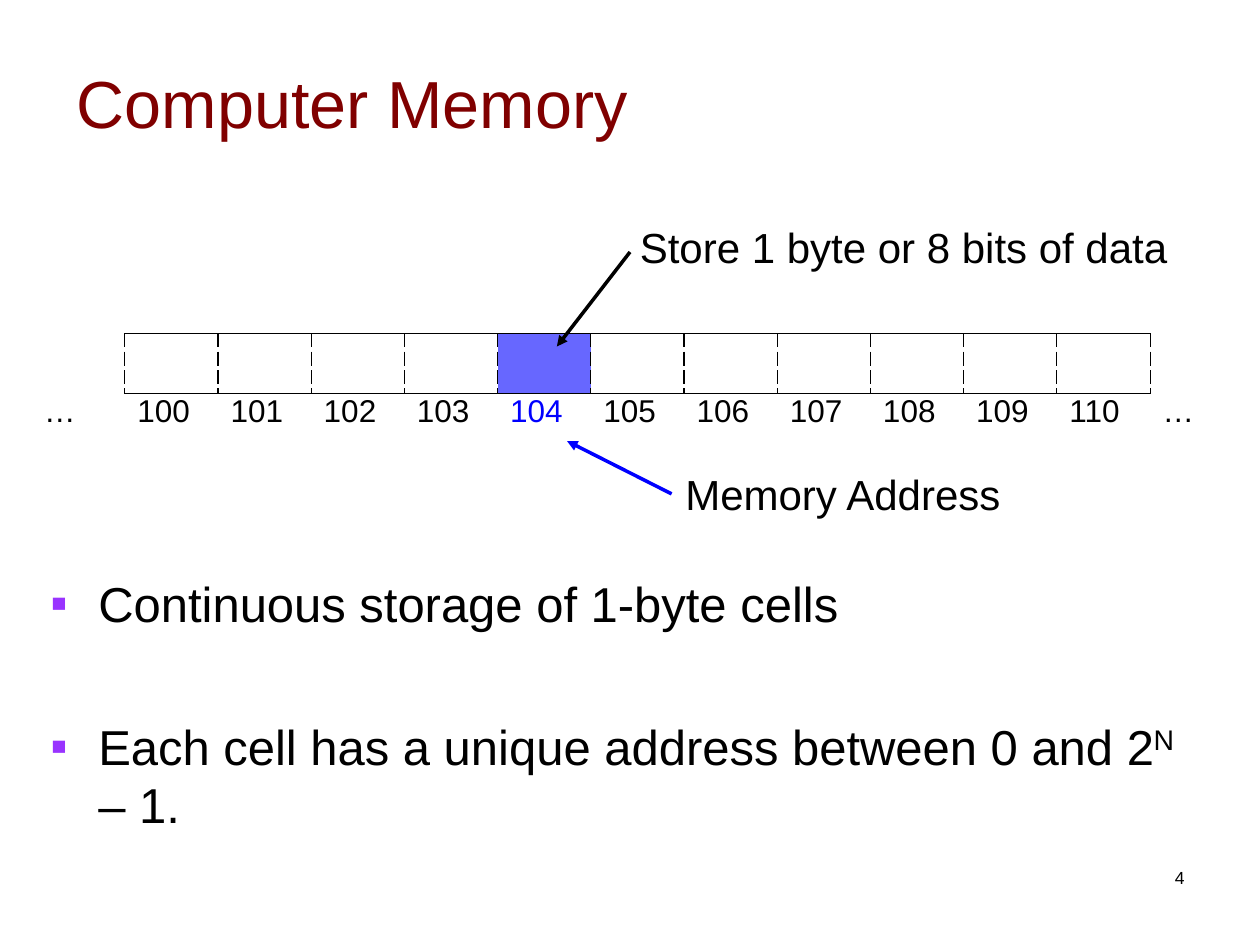
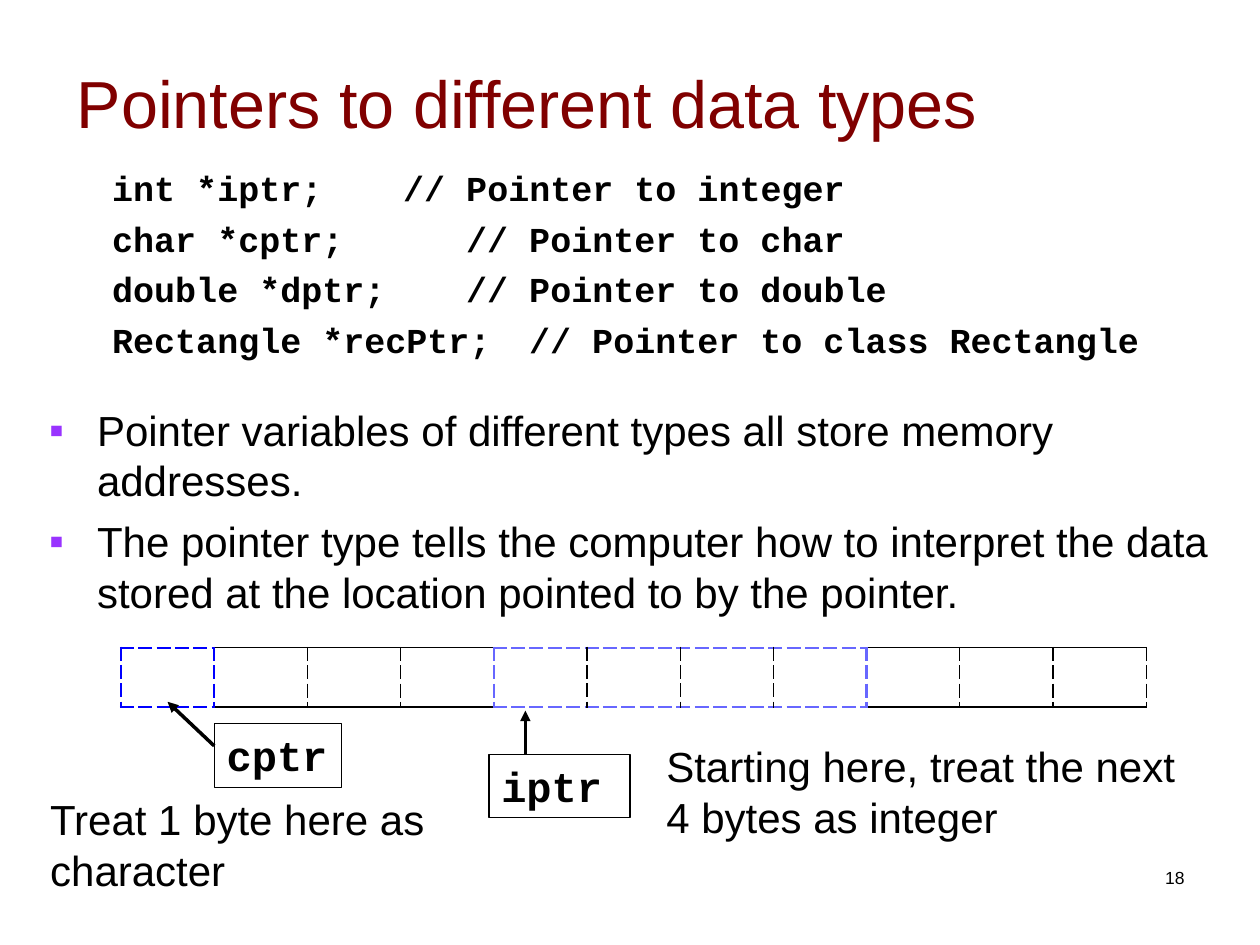
from dataclasses import dataclass

from lxml.etree import SubElement
from pptx import Presentation
from pptx.dml.color import RGBColor
from pptx.enum.shapes import MSO_CONNECTOR, MSO_SHAPE
from pptx.enum.text import MSO_ANCHOR, MSO_AUTO_SIZE, PP_ALIGN
from pptx.oxml.ns import qn
from pptx.util import Inches, Pt

COLORS = {
    "title": "800000",
    "text": "000000",
    "bullet": "9933FF",
    "byte": "0000FF",
    "word": "6767FF",
    "paper": "FFFFFF",
}
SANS, MONO = "Arial", "Courier New"
SLIDE_W, SLIDE_H = Inches(10), Inches(7.5)
COLUMN, ROW = SLIDE_W / 10, SLIDE_H / 7.5
CELLS = 11
CELL_W = 0.74
CELL_H = 0.47


@dataclass
class Box:
    """A region measured in slide columns and rows."""
    left: float
    top: float
    width: float
    height: float

    def inner(self, left, top, width, height):
        return Box(self.left + left, self.top + top, width, height)

    def point(self, across, down):
        return int((self.left + across) * COLUMN), int((self.top + down) * ROW)

    def emu(self):
        return (*self.point(0, 0), int(self.width * COLUMN), int(self.height * ROW))


TITLE = Box(0.51, 0.18, 9, 1.25)
PAGE_NUMBER = Box(7.17, 6.83, 2.33, 0.5)


def rgb(name):
    return RGBColor.from_string(COLORS[name])


def add_marks(paragraph, margin, indent, bullet, tabs):
    properties = paragraph._p.get_or_add_pPr()
    properties.set("marL", str(Inches(margin)))
    properties.set("indent", str(Inches(indent)))
    if bullet:
        color = SubElement(properties, qn("a:buClr"))
        SubElement(color, qn("a:srgbClr"), val=COLORS["bullet"])
        SubElement(properties, qn("a:buFont"), typeface=SANS)
        SubElement(properties, qn("a:buChar"), char=bullet)
    else:
        SubElement(properties, qn("a:buNone"))
    if tabs:
        stops = SubElement(properties, qn("a:tabLst"))
        for stop in tabs:
            SubElement(stops, qn("a:tab"), pos=str(Inches(stop)), algn="l")


def write(frame, text, size=24, font=SANS, color="text", bold=False, before=0,
          align=PP_ALIGN.LEFT, margin=0, indent=0, bullet=None, tabs=(), more=False):
    """Add one paragraph; text between two ^ signs is raised."""
    paragraph = frame.add_paragraph() if more else frame.paragraphs[0]
    add_marks(paragraph, margin, indent, bullet, tabs)
    paragraph.alignment = align
    paragraph.space_before = Pt(before)
    for number, piece in enumerate(text.split("^")):
        run = paragraph.add_run()
        run.text = piece
        run.font.size = Pt(size)
        run.font.name = font
        run.font.bold = bold
        run.font.color.rgb = rgb(color)
        if number % 2:
            run._r.get_or_add_rPr().set("baseline", "30000")


def write_bullet(frame, text, **style):
    write(frame, text, margin=0.38, indent=-0.38, bullet="▪", **style)


def place(placeholder, box, anchor):
    placeholder.left, placeholder.top, placeholder.width, placeholder.height = box.emu()
    frame = placeholder.text_frame
    frame.word_wrap = True
    frame.auto_size = MSO_AUTO_SIZE.NONE
    frame.vertical_anchor = anchor
    return frame


def add_label(slide, box, text, wrap=True, **style):
    frame = slide.shapes.add_textbox(*box.emu()).text_frame
    frame.word_wrap = wrap
    write(frame, text, **style)


def add_arrow(slide, start, end, color="text"):
    arrow = slide.shapes.add_connector(MSO_CONNECTOR.STRAIGHT, *start, *end)
    arrow.line.color.rgb = rgb(color)
    arrow.line.width = Pt(2)
    properties = arrow._element.spPr
    SubElement(properties.find(qn("a:ln")), qn("a:tailEnd"), type="triangle")
    SubElement(properties, qn("a:effectLst"))


def start_slide(deck, title, number, body_box):
    """Add a slide with title and page number; return it with its body frame."""
    slide = deck.slides.add_slide(deck.slide_layouts[1])
    write(place(slide.shapes.title, TITLE, MSO_ANCHOR.MIDDLE), title,
          size=38, color="title")
    body = place(slide.placeholders[1], body_box, MSO_ANCHOR.TOP)
    add_label(slide, PAGE_NUMBER, str(number), size=10, align=PP_ALIGN.RIGHT)
    return slide, body


def add_grid_row(slide, box, count):
    table = slide.shapes.add_table(1, count, *box.emu()).table
    table.first_row = table.horz_banding = False
    for column in table.columns:
        column.width = int(box.width * COLUMN / count)
    return [table.cell(0, index) for index in range(count)]


def set_border(cell, side, color=None, width=0.75, dash="solid"):
    line = SubElement(cell._tc.get_or_add_tcPr(), qn(f"a:ln{side}"), w=str(Pt(width)))
    if color is None:
        SubElement(line, qn("a:noFill"))
        return
    fill = SubElement(line, qn("a:solidFill"))
    SubElement(fill, qn("a:srgbClr"), val=COLORS[color])
    SubElement(line, qn("a:prstDash"), val=dash)


def memory_strip(slide, box, rule=0.75, spans=(), filled=None):
    """Draw the memory cells; spans are (first, end, colour) outlines."""
    outline = {index: color for first, end, color in spans
               for index in range(first, end)}
    ends = {edge: color for first, end, color in spans for edge in (first, end)}

    def upright(edge):
        return (ends[edge], 1.47, "dash") if edge in ends else ("text", 0.75, "dash")

    for index, cell in enumerate(add_grid_row(slide, box, CELLS)):
        level = ((outline[index], 1.47, "dash") if index in outline
                 else ("text", rule, "solid"))
        set_border(cell, "L", *upright(index))
        set_border(cell, "R", *upright(index + 1))
        set_border(cell, "T", *level)
        set_border(cell, "B", *level)
        if index == filled:
            cell.fill.solid()
            cell.fill.fore_color.rgb = rgb("word")
        else:
            cell.fill.background()


def address_row(slide, box, addresses, marked):
    for cell, address in zip(add_grid_row(slide, box, len(addresses)), addresses):
        for side in "LRTB":
            set_border(cell, side)
        cell.fill.background()
        write(cell.text_frame, address, size=18,
              color="byte" if address == marked else "text")


def memory_diagram(slide, box):
    strip_w = CELLS * CELL_W
    add_label(slide, box.inner(4.73, 0, 4.39, 0.5), "Store 1 byte or 8 bits of data",
              wrap=False)
    memory_strip(slide, box.inner(CELL_W, 0.94, strip_w, CELL_H), filled=4)
    addresses = ["…", *map(str, range(100, 100 + CELLS)), "…"]
    address_row(slide, box.inner(0, 1.37, strip_w + 2 * CELL_W, 0.4), addresses, "104")
    add_label(slide, box.inner(5.09, 1.96, 2.72, 0.5), "Memory Address", wrap=False)
    add_arrow(slide, box.point(4.75, 0.29), box.point(4.17, 1.04))
    add_arrow(slide, box.point(5.08, 2.21), box.point(4.25, 1.79), color="byte")


def pointer_box(slide, box, name):
    pointer = slide.shapes.add_shape(MSO_SHAPE.RECTANGLE, *box.emu())
    pointer.shadow.inherit = False
    pointer.fill.background()
    pointer.line.color.rgb = rgb("text")
    pointer.line.width = Pt(0.75)
    pointer.text_frame.vertical_anchor = MSO_ANCHOR.TOP
    write(pointer.text_frame, name, font=MONO, bold=True)


def pointer_diagram(slide, box):
    memory_strip(slide, box.inner(0.66, 0, CELLS * CELL_W, CELL_H), rule=1.08,
                 spans=[(0, 1, "byte"), (4, 8, "word")])
    pointer_box(slide, box.inner(1.4, 0.6, 1.01, 0.51), "cptr")
    pointer_box(slide, box.inner(3.58, 0.85, 1.12, 0.5), "iptr")
    add_arrow(slide, box.point(1.4, 0.78), box.point(1.03, 0.43))
    add_arrow(slide, box.point(3.87, 0.85), box.point(3.87, 0.5))
    add_label(slide, box.inner(0, 1.11, 3.36, 0.9), "Treat 1 byte here as character")
    add_label(slide, box.inner(4.89, 0.69, 4.43, 1),
              "Starting here, treat the next 4 bytes as integer")


def memory_slide(deck):
    slide, body = start_slide(deck, "Computer Memory", 4, Box(0.3, 4.5, 9.32, 2.5))
    write_bullet(body, "Continuous storage of 1-byte cells", size=28)
    write_bullet(body, "Each cell has a unique address between 0 and 2^N^ – 1.",
                 size=28, before=48, more=True)
    memory_diagram(slide, Box(0.25, 1.71, 9.61, 2.46))


def pointer_slide(deck):
    slide, body = start_slide(deck, "Pointers to different data types", 18,
                              Box(0.29, 1.27, 9.54, 5.81))
    declarations = [
        "int *iptr;\t\t// Pointer to integer",
        "char *cptr;\t\t// Pointer to char",
        "double *dptr;\t\t// Pointer to double",
        "Rectangle *recPtr;\t// Pointer to class Rectangle",
    ]
    for index, declaration in enumerate(declarations):
        write(body, declaration, size=20, font=MONO, bold=True, margin=0.81,
              indent=-0.31, tabs=range(1, 8), before=5 if index else 0, more=index > 0)
    write_bullet(body, "Pointer variables of different types all store memory addresses.",
                 before=25, more=True)
    write_bullet(body, "The pointer type tells the computer how to interpret the data "
                 "stored at the location pointed to by the pointer.", before=6, more=True)
    pointer_diagram(slide, Box(0.3, 5.14, 9.32, 2.01))


def main():
    deck = Presentation()
    deck.slide_width, deck.slide_height = SLIDE_W, SLIDE_H
    background = deck.slide_master.background.fill
    background.solid()
    background.fore_color.rgb = rgb("paper")
    memory_slide(deck)
    pointer_slide(deck)
    deck.save("out.pptx")


if __name__ == "__main__":
    main()
